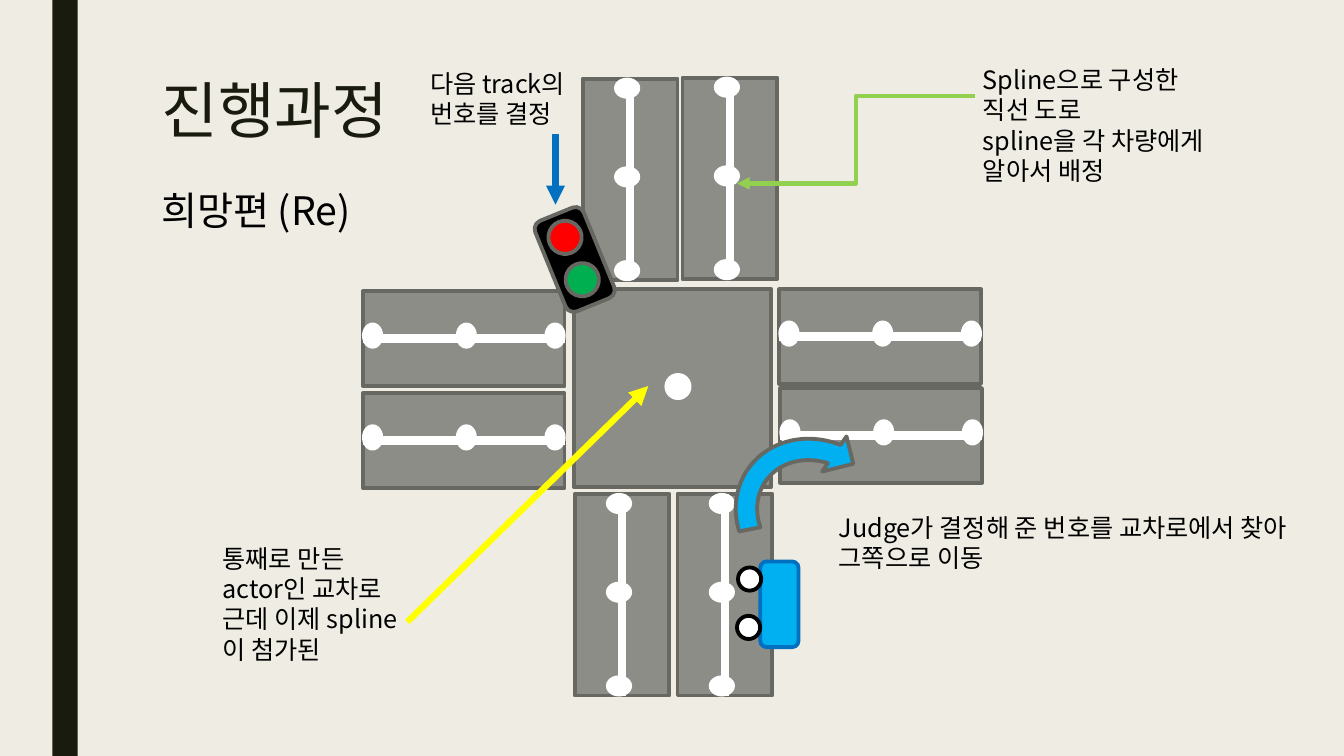
import pptx
import pptx.util
import pptx.oxml
import pptx.oxml.ns
from pptx.dml.color import RGBColor
from pptx.enum.shapes import MSO_CONNECTOR, MSO_SHAPE
from pptx.enum.text import MSO_ANCHOR, MSO_AUTO_SIZE, PP_ALIGN

PX = 9144  # 100 px to the inch

CREAM = RGBColor(0xEF, 0xED, 0xE3)
INK = RGBColor(0x19, 0x1B, 0x0E)
ASPHALT = RGBColor(0x8C, 0x8D, 0x86)
KERB = RGBColor(0x68, 0x68, 0x63)
WHITE = RGBColor(0xFF, 0xFF, 0xFF)
BLACK = RGBColor(0, 0, 0)
RED = RGBColor(0xFF, 0, 0)
GREEN = RGBColor(0, 0xB0, 0x50)
LIME = RGBColor(0x92, 0xD0, 0x50)
YELLOW = RGBColor(0xFF, 0xFF, 0)
SKY = RGBColor(0, 0xB0, 0xF0)
BLUE = RGBColor(0, 0x70, 0xC0)

TITLE_FONT = "Karla"
BODY_FONT = "Noto Sans CJK KR"
LANE_LENGTH, LANE_WIDTH = 200, 94
DOT_ACROSS, DOT_ALONG = 26, 21
DOT_STARTS = (-1, 87, 180)


def add_mark(shapes, kind, box, fill, line=None, rotation=0):
    shape = shapes.add_shape(kind, *(n * PX for n in box))
    shape.shadow.inherit = False
    shape.fill.solid()
    shape.fill.fore_color.rgb = fill
    if line is None:
        shape.line.fill.background()
    else:
        shape.line.color.rgb = line
        shape.line.width = pptx.util.Pt(2.75)
    shape.rotation = rotation
    return shape


def add_line(shapes, start, end, color, width, kind=MSO_CONNECTOR.STRAIGHT, arrow=False):
    line = shapes.add_connector(kind, *(n * PX for n in start + end))
    line.line.color.rgb = color
    line.line.width = pptx.util.Pt(width)
    properties = line.line._get_or_add_ln()
    if arrow:
        pptx.oxml.ns.qn("a:tailEnd")
        head = properties.makeelement(pptx.oxml.ns.qn("a:tailEnd"), {"type": "triangle"})
        properties.append(head)
    properties.addnext(properties.makeelement(pptx.oxml.ns.qn("a:effectLst"), {}))


def add_span(para, text, font, size, color):
    span = para.add_run()
    span.text = text
    span.font.name = font
    span.font.size = pptx.util.Pt(size)
    span.font.color.rgb = color
    properties = span.font._element
    latin = properties.find(pptx.oxml.ns.qn("a:latin"))
    latin.addnext(properties.makeelement(pptx.oxml.ns.qn("a:ea"), {"typeface": font}))


def add_title(slide, box):
    title = slide.shapes.title
    title.left, title.top, title.width, title.height = (n * PX for n in box)
    frame = title.text_frame
    frame.auto_size = MSO_AUTO_SIZE.NONE
    frame.vertical_anchor = MSO_ANCHOR.TOP
    para = frame.paragraphs[0]
    para.alignment = PP_ALIGN.LEFT
    para.line_spacing = 0.89
    add_span(para, "진행과정", TITLE_FONT, 44, INK)


def add_note(slide, box, lines, size=18, wrap=True):
    frame = slide.shapes.add_textbox(*(n * PX for n in box)).text_frame
    frame.word_wrap = wrap
    for index, text in enumerate(lines):
        para = frame.add_paragraph() if index else frame.paragraphs[0]
        para.line_spacing = pptx.util.Pt(round(size * 1.2, 1))
        add_span(para, text, BODY_FONT, size, BLACK)


def add_lane(slide, left, top, upright):
    """Draw a road with its spline; a flat lane is an upright one turned by 90 degrees."""
    shapes = slide.shapes.add_group_shape().shapes

    def turn(along, across, length, width):
        if upright:
            return left + across, top + along, width, length
        return left + LANE_LENGTH - along - length, top + across, length, width

    add_mark(shapes, MSO_SHAPE.RECTANGLE, turn(0, 0, LANE_LENGTH, LANE_WIDTH), ASPHALT, KERB)
    x, y, width, height = turn(0, LANE_WIDTH // 2, LANE_LENGTH, 0)
    add_line(shapes, (x, y), (x + width, y + height), WHITE, 6)
    for start in DOT_STARTS:
        add_mark(shapes, MSO_SHAPE.OVAL, turn(start, 31, DOT_ALONG, DOT_ACROSS), WHITE)


def add_crossroads(slide):
    for left, top in ((578, 78), (677, 77), (570, 490), (672, 490)):
        add_lane(slide, left, top, upright=True)
    for left, top in ((360, 289), (360, 390), (773, 287), (774, 385)):
        add_lane(slide, left, top, upright=False)
    add_mark(slide.shapes, MSO_SHAPE.RECTANGLE, (569, 287, 196, 196), ASPHALT, KERB)
    add_mark(slide.shapes, MSO_SHAPE.OVAL, (661, 372, 23, 23), WHITE, WHITE)


def add_traffic_light(slide, left, top):
    shapes = slide.shapes.add_group_shape().shapes
    tilt = 337.8
    add_mark(shapes, MSO_SHAPE.ROUNDED_RECTANGLE, (left, top, 52, 97), BLACK, KERB, tilt)
    for x, y, color in ((0, 10, RED), (17, 52, GREEN)):
        add_mark(shapes, MSO_SHAPE.OVAL, (left + x, top + y, 33, 33), color, KERB, tilt)


def add_car(slide, left, top):
    shapes = slide.shapes.add_group_shape().shapes
    add_mark(shapes, MSO_SHAPE.ROUNDED_RECTANGLE, (left + 23, top, 38, 85), SKY, BLUE)
    for x, y in ((1, 6), (0, 54)):
        add_mark(shapes, MSO_SHAPE.OVAL, (left + x, top + y, 23, 23), WHITE, BLACK)


def add_turn_arrow(slide, box):
    arrow = add_mark(slide.shapes, MSO_SHAPE.CIRCULAR_ARROW, box, SKY, KERB, 304.8)
    for index, value in enumerate((0.125, 11.42, 204.58, 134.64, 0.125)):
        arrow.adjustments[index] = value


def add_notes_and_pointers(slide):
    add_note(slide, (150, 180, 228, 57), ["희망편 (Re)"], size=28)
    add_note(slide, (417, 63, 200, 71), ["다음 track의 번호를 결정"])
    add_note(slide, (211, 534, 200, 131),
             ["통째로 만든 actor인 교차로", "근데 이제 spline이 첨가된"])
    add_note(slide, (965, 59, 265, 131),
             ["Spline으로 구성한", "직선 도로", "spline을 각 차량에게", "알아서 배정"], wrap=False)
    add_note(slide, (822, 503, 511, 71),
             ["Judge가 결정해 준 번호를 교차로에서 찾아", "그쪽으로 이동"], wrap=False)
    add_line(slide.shapes, (551, 133), (551, 203), BLUE, 4.5, arrow=True)
    add_line(slide.shapes, (404, 617), (643, 383), YELLOW, 4.5, arrow=True)
    add_line(slide.shapes, (967, 95), (731, 182), LIME, 3, MSO_CONNECTOR.ELBOW, arrow=True)


def main():
    deck = pptx.Presentation()
    deck.slide_width, deck.slide_height = pptx.util.Inches(13.33), pptx.util.Inches(7.5)
    slide = deck.slides.add_slide(deck.slide_layouts[5])
    slide.background.fill.solid()
    slide.background.fill.fore_color.rgb = CREAM
    add_mark(slide.shapes, MSO_SHAPE.RECTANGLE, (52, 0, 25, 750), INK)
    add_title(slide, (150, 75, 1050, 162))
    add_crossroads(slide)
    add_traffic_light(slide, 544, 209)
    add_car(slide, 731, 557)
    add_turn_arrow(slide, (725, 419, 170, 187))
    add_notes_and_pointers(slide)
    deck.save("out.pptx")


if __name__ == "__main__":
    main()
